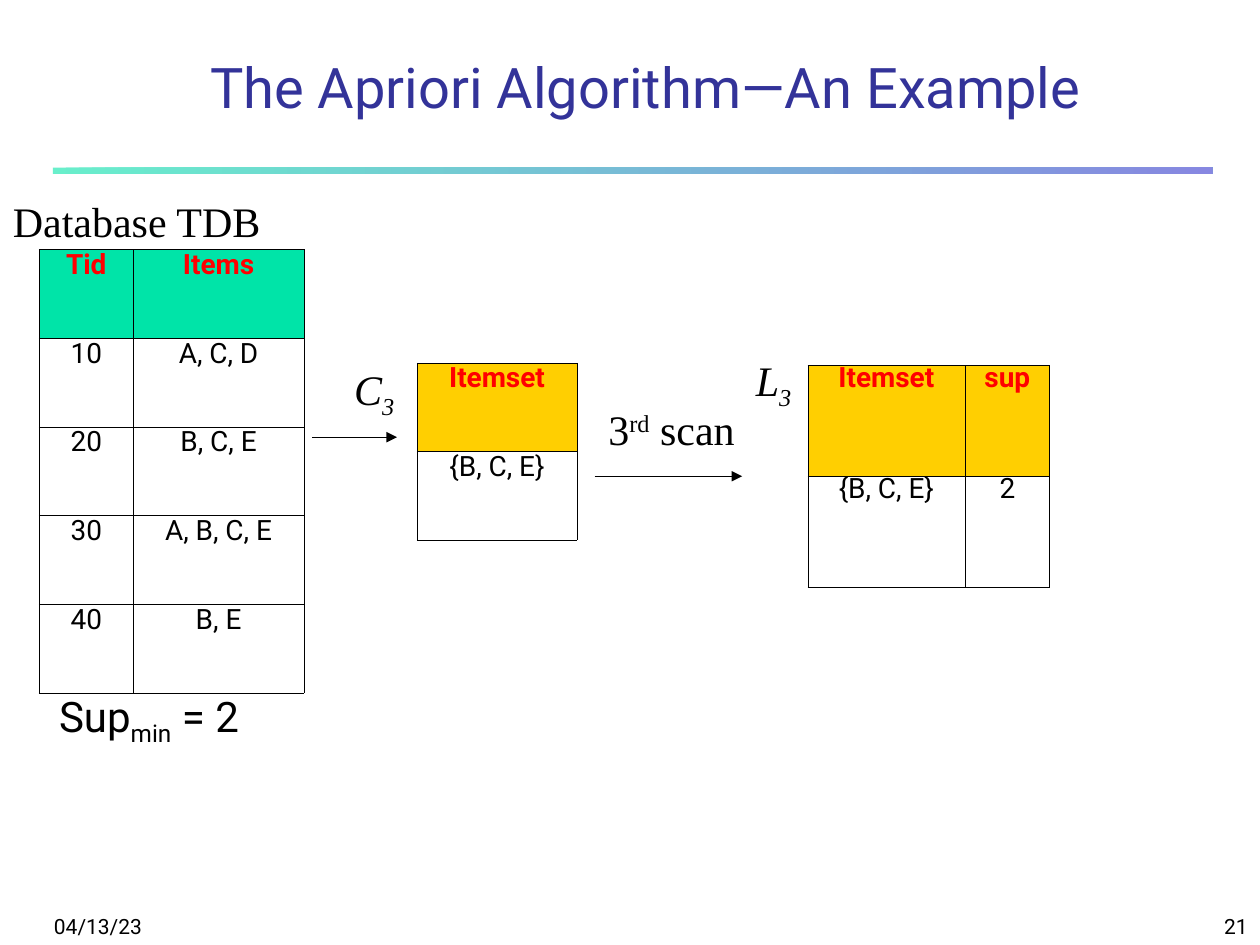
from dataclasses import dataclass

import pptx
import pptx.chart.data
import pptx.dml.color
import pptx.enum.shapes
import pptx.enum.text
import pptx.oxml
import pptx.oxml.ns
import pptx.util
from lxml import etree

Inches = pptx.util.Inches
Pt = pptx.util.Pt
Align = pptx.enum.text.PP_ALIGN
Anchor = pptx.enum.text.MSO_ANCHOR
qn = pptx.oxml.ns.qn


@dataclass(frozen=True)
class Theme:
    ink: str = "000000"
    title: str = "333399"
    heading: str = "FF0000"
    green: str = "00E4A8"
    blue: str = "3333CC"
    yellow: str = "FFCF01"
    sans: str = "Roboto"
    serif: str = "Times New Roman"
    title_size: int = 32
    label_size: int = 24
    cell_size: int = 16
    footer_size: int = 12
    border: float = 0.06
    arrow: float = 0.75
    bar_opacity: int = 59


THEME = Theme()
SUBSCRIPT, SUPERSCRIPT = -25, 30


def color(value):
    return pptx.dml.color.RGBColor.from_string(value)


def write(para, text, size=THEME.label_size, font=THEME.sans, ink=THEME.ink,
          bold=False, italic=False, align=Align.LEFT, spacing=None):
    para.alignment = align
    if spacing:
        para.line_spacing = spacing
    pieces = [(text, 0)] if isinstance(text, str) else text
    for words, baseline in pieces:
        span = para.add_run()
        span.text = words
        span.font.size = Pt(size)
        span.font.name = font
        span.font.bold = bold
        span.font.italic = italic
        span.font.color.rgb = color(ink)
        if baseline:
            span.font._element.set("baseline", str(baseline * 1000))


def add_text(page, place, text, anchor=Anchor.MIDDLE, wrap=True, **style):
    box = page.shapes.add_textbox(*map(Inches, place))
    frame = box.text_frame
    frame.word_wrap = wrap
    frame.vertical_anchor = anchor
    write(frame.paragraphs[0], text, **style)


def add_label(page, place, text, italic=False):
    add_text(page, place, text, wrap=False, font=THEME.serif,
             italic=italic, align=Align.CENTER)


def add_header(page, left, top, width, height):
    add_text(page, (left, top, width, height), "The Apriori Algorithm—An Example ",
             anchor=Anchor.BOTTOM, size=THEME.title_size, ink=THEME.title,
             align=Align.CENTER)
    bar = page.shapes.add_shape(
        pptx.enum.shapes.MSO_SHAPE.RECTANGLE,
        Inches(left - 0.5), Inches(top + 1), Inches(9.2), Inches(0.05))
    bar.shadow.inherit = False
    bar.line.fill.background()
    bar.fill.gradient()
    bar.fill.gradient_angle = 0
    for stop, value in zip(bar.fill.gradient_stops, (THEME.green, THEME.blue)):
        stop.color.rgb = color(value)
    for tint in bar._element.spPr.iter(qn("a:srgbClr")):
        etree.SubElement(tint, qn("a:alpha"), val=str(THEME.bar_opacity * 1000))


def add_footer(page, left, top, width, height):
    part = 2.08
    style = dict(anchor=Anchor.BOTTOM, size=THEME.footer_size)
    add_text(page, (left, top, part, height), "04/13/23", **style)
    add_text(page, (left + width - part, top, part, height), "21",
             align=Align.RIGHT, **style)


def add_border(cell):
    properties = cell._tc.get_or_add_tcPr()
    for index, side in enumerate(("a:lnL", "a:lnR", "a:lnT", "a:lnB")):
        line = etree.Element(qn(side), w=str(Pt(THEME.border)))
        paint = etree.SubElement(line, qn("a:solidFill"))
        etree.SubElement(paint, qn("a:srgbClr"), val=THEME.ink)
        properties.insert(index, line)


def add_grid(page, left, top, widths, row_height, rows, head_fill, spacing=0.72):
    frame = page.shapes.add_table(
        len(rows), len(widths), Inches(left), Inches(top),
        Inches(sum(widths)), Inches(row_height * len(rows)))
    table = frame.table
    table.first_row = table.horz_banding = False
    for column, width in zip(table.columns, widths):
        column.width = Inches(width)
    for number, values in enumerate(rows):
        head = number == 0
        table.rows[number].height = Inches(row_height)
        for index, value in enumerate(values):
            cell = table.cell(number, index)
            if head:
                cell.fill.solid()
                cell.fill.fore_color.rgb = color(head_fill)
            else:
                cell.fill.background()
            add_border(cell)
            write(cell.text_frame.paragraphs[0], value, size=THEME.cell_size,
                  ink=THEME.heading if head else THEME.ink, bold=head,
                  align=Align.CENTER, spacing=spacing)


def add_arrow(page, left, top, length):
    arrow = page.shapes.add_connector(
        pptx.enum.shapes.MSO_CONNECTOR.STRAIGHT,
        Inches(left), Inches(top), Inches(left + length), Inches(top))
    arrow.line.color.rgb = color(THEME.ink)
    arrow.line.width = Pt(THEME.arrow)
    etree.SubElement(arrow.line._get_or_add_ln(), qn("a:tailEnd"), type="triangle")
    etree.SubElement(arrow._element.spPr, qn("a:effectLst"))


def add_database(page, left, top):
    add_label(page, (left, top, 2.17, 0.5), "Database TDB")
    rows = [("Tid", "Items"), ("10", "A, C, D"), ("20", "B, C, E"),
            ("30", "A, B, C, E"), ("40", "B, E")]
    add_grid(page, left + 0.31, top + 0.48, (0.75, 1.35), 0.704, rows, THEME.green)
    add_text(page, (left + 0.37, top + 3.93, 1.92, 0.56),
             [("Sup", 0), ("min", SUBSCRIPT), (" = 2", 0)], anchor=Anchor.TOP)


def add_candidates(page, left, top):
    add_arrow(page, left, top + 0.64, 0.67)
    add_label(page, (left + 0.23, top, 0.52, 0.56),
              [("C", 0), ("3", SUBSCRIPT)], italic=True)
    add_grid(page, left + 0.83, top + 0.05, (1.27,), 0.704,
             [("Itemset",), ("{B, C, E}",)], THEME.yellow)


def add_frequent(page, left, top):
    add_arrow(page, left, top + 1.02, 1.17)
    add_label(page, (left + 0.01, top + 0.39, 1.2, 0.5),
              [("3", 0), ("rd", SUPERSCRIPT), (" scan", 0)])
    add_label(page, (left + 1.18, top, 0.48, 0.56),
              [("L", 0), ("3", SUBSCRIPT)], italic=True)
    add_grid(page, left + 1.69, top + 0.14, (1.25, 0.67), 0.88,
             [("Itemset", "sup"), ("{B, C, E}", "2")], THEME.yellow, spacing=0.62)


def main():
    deck = pptx.Presentation()
    deck.slide_width, deck.slide_height = Inches(10), Inches(7.5)
    page = deck.slides.add_slide(deck.slide_layouts[6])
    add_header(page, 0.92, 0.33, 8.52, 0.67)
    add_database(page, 0, 1.5)
    add_candidates(page, 2.48, 2.83)
    add_frequent(page, 4.72, 2.76)
    add_footer(page, 0.33, 7.08, 9.67, 0.42)
    deck.save("out.pptx")


if __name__ == "__main__":
    main()
